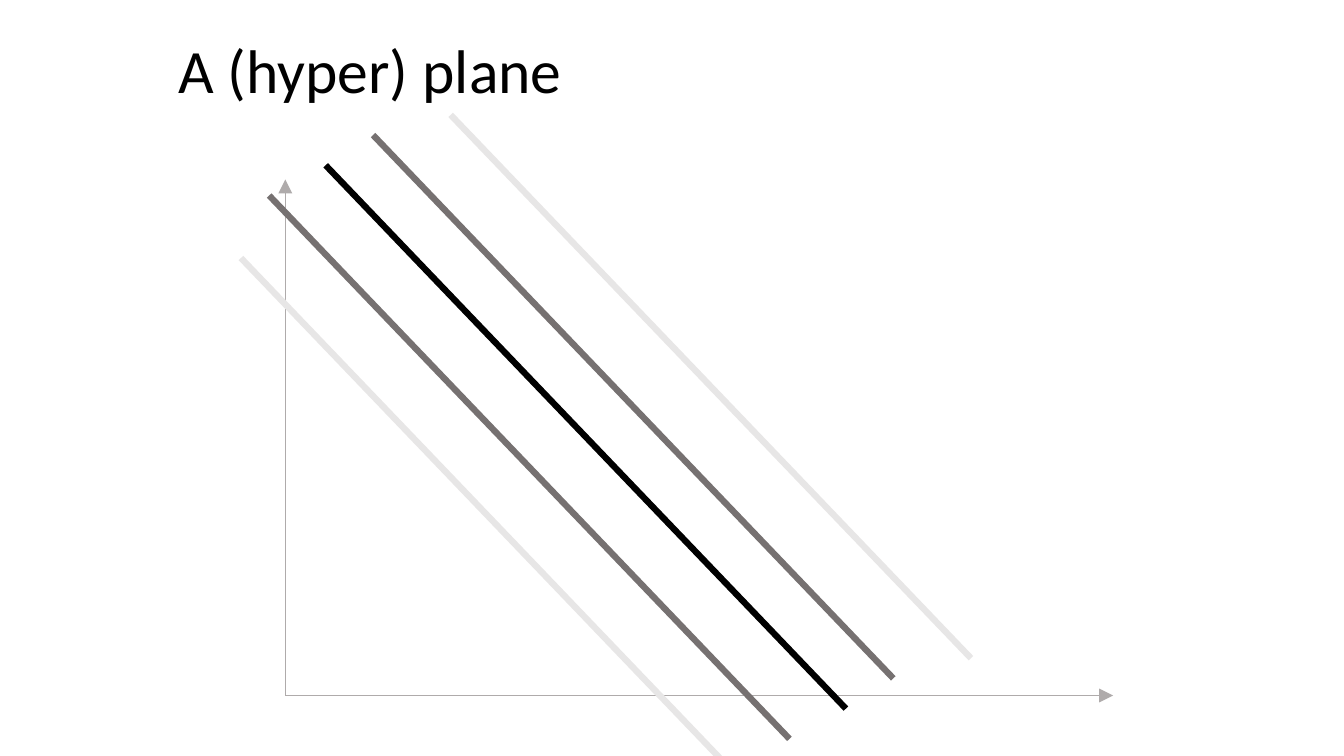
"""Builds a slide of parallel planes drawn over a pair of axes."""
import dataclasses

import pptx
import pptx.dml.color
import pptx.enum.shapes
import pptx.enum.text
import pptx.oxml
import pptx.oxml.ns
import pptx.util

Inches = pptx.util.Inches


@dataclasses.dataclass(frozen=True)
class Theme:
    """Colours, font and sizes of the slide."""
    font: str = "Calibri"
    title_size: float = 44
    axis_width: float = 1
    plane_width: float = 4.5
    ink: str = "000000"
    axis: str = "AFABAB"
    near: str = "767171"
    far: str = "E7E6E6"


class SlideBuilder:
    """Draws styled elements on the current page."""

    def __init__(self, page, theme):
        """Keep the page and its theme."""
        self.page = page
        self.theme = theme

    def title(self, text, left, top, width, height):
        """Add the heading."""
        box = self.page.shapes.add_textbox(
            Inches(left), Inches(top), Inches(width), Inches(height))
        frame = box.text_frame
        frame.word_wrap = True
        frame.vertical_anchor = pptx.enum.text.MSO_ANCHOR.MIDDLE
        frame.text = text
        para = frame.paragraphs[0]
        para.line_spacing = 0.9
        span = para.runs[0]
        span.font.name = self.theme.font
        span.font.size = pptx.util.Pt(self.theme.title_size)
        span.font.color.rgb = pptx.dml.color.RGBColor.from_string(self.theme.ink)

    def line(self, start, end, color, width):
        """Add a straight line without a shadow and return it."""
        line = self.page.shapes.add_connector(
            pptx.enum.shapes.MSO_CONNECTOR.STRAIGHT,
            *(Inches(value) for value in (*start, *end)))
        line.line.color.rgb = pptx.dml.color.RGBColor.from_string(color)
        line.line.width = pptx.util.Pt(width)
        properties = line.element.spPr
        properties.append(pptx.oxml.parse_xml(
            f"<a:effectLst {pptx.oxml.ns.nsdecls('a')}/>"))
        return line

    def axis(self, start, end):
        """Add a thin line with an arrowhead at its end."""
        axis = self.line(start, end, self.theme.axis, self.theme.axis_width)
        axis.line._get_or_add_ln().append(pptx.oxml.parse_xml(
            f"<a:tailEnd {pptx.oxml.ns.nsdecls('a')} "
            'type="triangle" w="lg" len="lg"/>'))

    def plane(self, left, top, color):
        """Add one of the parallel planes from its upper left end."""
        run, rise = 5.16, 5.39
        self.line((left + run, top + rise), (left, top),
                  color, self.theme.plane_width)


def main():
    """Build and save the deck."""
    deck = pptx.Presentation()
    deck.slide_width, deck.slide_height = Inches(13.33), Inches(7.5)
    theme = Theme()
    builder = SlideBuilder(deck.slides.add_slide(deck.slide_layouts[6]), theme)
    builder.title("A (hyper) plane", 1.67, 0.23, 9.75, 1)

    origin = (2.83, 6.9)
    for tip in ((origin[0], 1.78), (11.04, origin[1])):
        builder.axis(origin, tip)

    planes = (
        (3.23, 1.64, theme.ink),
        (3.7, 1.34, theme.near),
        (4.47, 1.14, theme.far),
        (2.67, 1.94, theme.near),
        (2.39, 2.56, theme.far),
    )
    for left, top, color in planes:
        builder.plane(left, top, color)
    deck.save("out.pptx")


if __name__ == "__main__":
    main()
